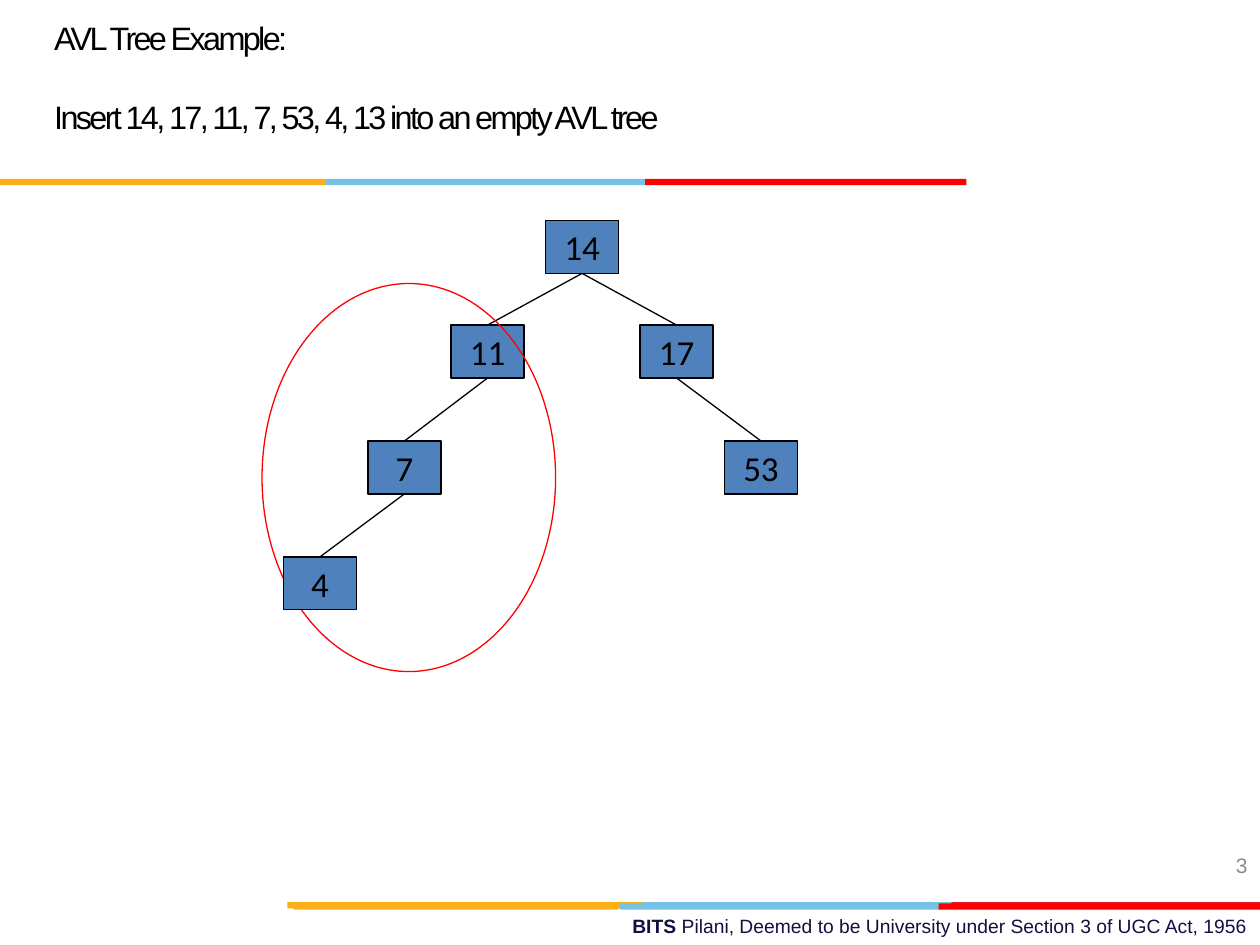
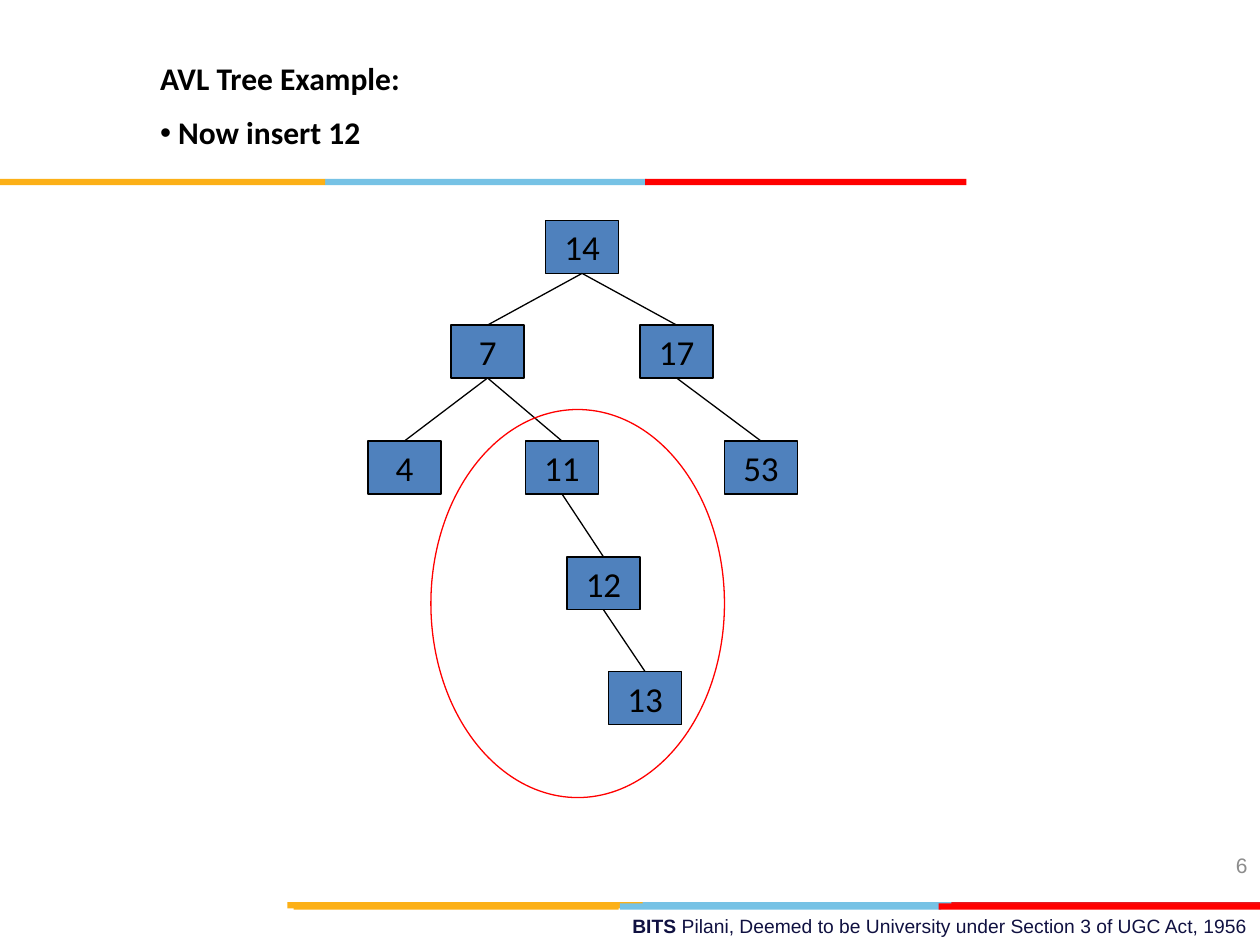
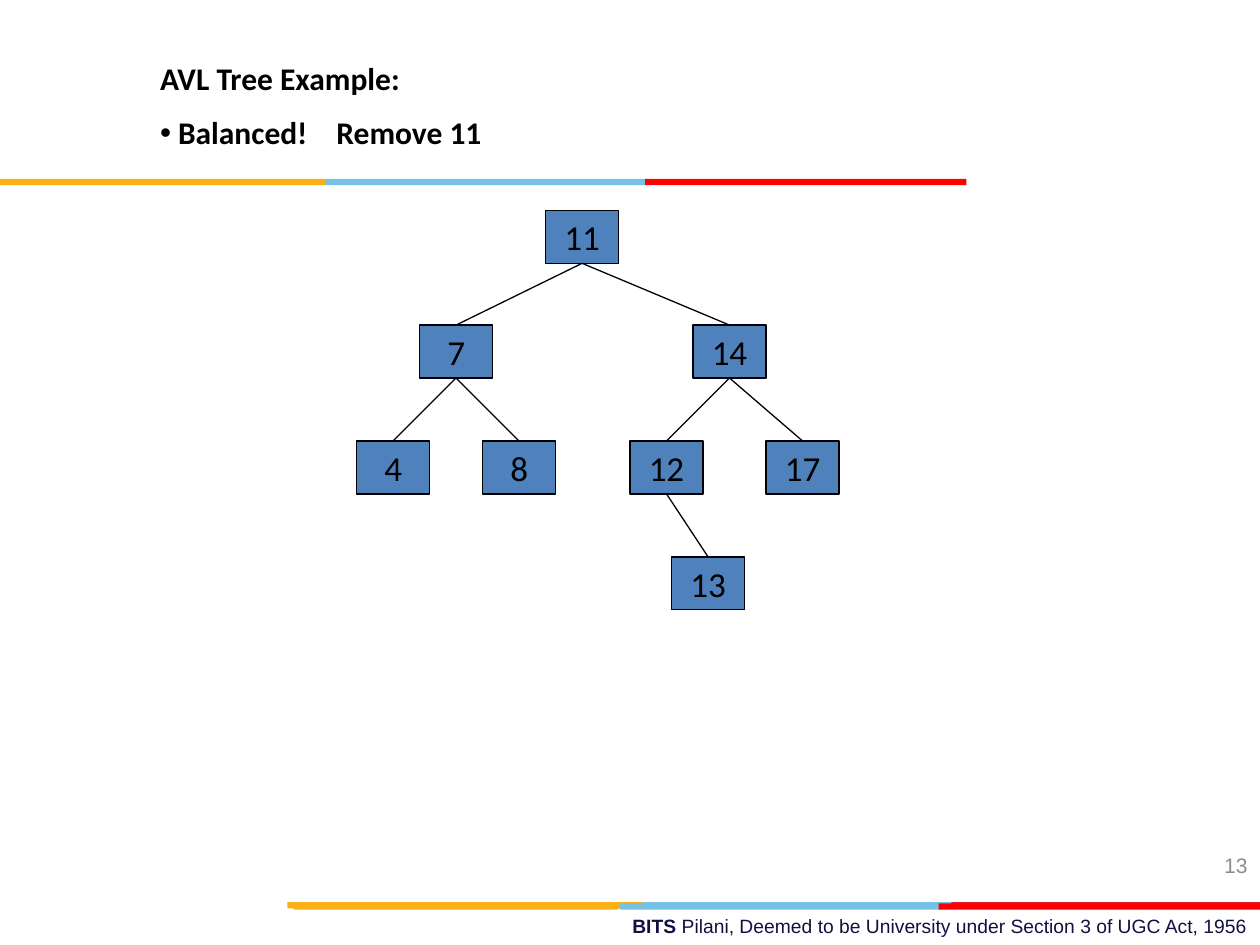
import pptx
import pptx.util
import pptx.dml.color
import pptx.enum.shapes
import pptx.enum.text
import pptx.oxml
import pptx.oxml.ns

Inches = pptx.util.Inches
Pt = pptx.util.Pt
RGBColor = pptx.dml.color.RGBColor
SHAPE = pptx.enum.shapes.MSO_SHAPE
ALIGN = pptx.enum.text.PP_ALIGN
ANCHOR = pptx.enum.text.MSO_ANCHOR

BLACK = RGBColor(0x00, 0x00, 0x00)
NAVY = RGBColor(0x10, 0x11, 0x41)
GRAY = RGBColor(0x8C, 0x8C, 0x8C)
BLUE = RGBColor(0x4F, 0x81, 0xBD)
SKY = RGBColor(0x76, 0xC2, 0xE5)
GOLD = RGBColor(0xFC, 0xB0, 0x17)
RED = RGBColor(0xFF, 0x00, 0x00)
BRICK = RGBColor(0xE3, 0x1C, 0x24)

BANDS = [
    (5.06, 7.16, 2.55, SKY), (7.55, 7.16, 2.45, BRICK), (2.28, 7.16, 2.82, GOLD),
    (4.92, 7.17, 2.55, SKY), (2.33, 7.17, 2.58, GOLD), (7.45, 7.17, 2.55, RED),
    (2.58, 1.42, 2.55, SKY), (0, 1.42, 2.58, GOLD), (5.12, 1.42, 2.55, RED),
]
ROWS = [1.75, 2.58, 3.5, 4.42, 5.33]
TITLE = "AVL Tree Example:"


def style(font, size, color, name="Arial", bold=False):
    font.size = Pt(size)
    font.name = name
    font.bold = bold
    font.color.rgb = color


def add_xml(parent, tag, **attrs):
    item = pptx.oxml.parse_xml(f"<a:{tag} {pptx.oxml.ns.nsdecls('a')}/>")
    for key, value in attrs.items():
        item.set(key, str(value))
    parent.append(item)
    return item


def place(shape, left, top, width, height):
    shape.left, shape.top = Inches(left), Inches(top)
    shape.width, shape.height = Inches(width), Inches(height)


def add_shape(slide, kind, left, top, width, height, fill=None, line=None):
    shape = slide.shapes.add_shape(
        kind, Inches(left), Inches(top), Inches(width), Inches(height))
    shape.shadow.inherit = False
    if fill is None:
        shape.fill.background()
    else:
        shape.fill.solid()
        shape.fill.fore_color.rgb = fill
    if line is None:
        shape.line.fill.background()
    else:
        shape.line.color.rgb = line
        shape.line.width = Pt(0.75)
    return shape


def add_label(slide, left, top, width, height):
    label = slide.shapes.add_textbox(
        Inches(left), Inches(top), Inches(width), Inches(height))
    label.text_frame.word_wrap = True
    para = label.text_frame.paragraphs[0]
    para.alignment = ALIGN.RIGHT
    return label.text_frame, para


def add_frame(slide, number):
    para = add_label(slide, 3.58, 7.21, 6.42, 0.29)[1]
    parts = [("BITS ", True),
             ("Pilani, Deemed to be University under Section 3 of UGC Act, 1956", False)]
    for text, bold in parts:
        run = para.add_run()
        run.text = text
        style(run.font, 11, NAVY, bold=bold)
    for left, top, width, color in BANDS:
        add_shape(slide, SHAPE.RECTANGLE, left, top, width, 0.05, color)
    frame, para = add_label(slide, 7.67, 6.67, 2.33, 0.4)
    frame.vertical_anchor = ANCHOR.MIDDLE
    para.text = str(number)
    style(para.runs[0].font, 12, GRAY)


def fill_holder(holder, spot, text, size, name, bold, pitch=0, bullet=False, tab=None):
    place(holder, *spot)
    frame = holder.text_frame
    frame.auto_size = pptx.enum.text.MSO_AUTO_SIZE.NONE
    frame.vertical_anchor = ANCHOR.TOP
    para = frame.paragraphs[0]
    para.text = text
    para.alignment = ALIGN.LEFT
    para.space_before = Pt(0)
    props = para._p.get_or_add_pPr()
    props.set("marL", "0")
    props.set("indent", "0")
    if bullet:
        add_xml(props, "buChar", char="•")
    else:
        add_xml(props, "buNone")
    if tab:
        stops = add_xml(props, "tabLst")
        add_xml(stops, "tab", pos=Inches(tab), algn="l")
    for run in para.runs:
        style(run.font, size, BLACK, name, bold)
        if pitch:
            run._r.get_or_add_rPr().set("spc", str(pitch))


def add_slide(deck, number):
    slide = deck.slides.add_slide(deck.slide_layouts[1])
    add_frame(slide, number)
    return slide


def add_intro(slide, text):
    look = (18.5, "Arial", False, -150)
    fill_holder(slide.shapes.title, (0.33, 0.09, 6.92, 0.4), TITLE, *look)
    fill_holder(slide.placeholders[1], (0.33, 0.72, 6.92, 0.4), text, *look)


def add_step(slide, text, tab=None):
    look = (18, "Calibri", True)
    fill_holder(slide.shapes.title, (1.17, 0.42, 7.83, 0.42), TITLE, *look)
    fill_holder(slide.placeholders[1], (1.17, 0.85, 7.83, 0.42), text, *look,
                bullet=True, tab=tab)


def add_node(slide, value, left, top):
    node = add_shape(slide, SHAPE.RECTANGLE, left, top, 0.58, 0.42, BLUE, BLACK)
    frame = node.text_frame
    frame.word_wrap = False
    frame.vertical_anchor = ANCHOR.MIDDLE
    para = frame.paragraphs[0]
    para.text = str(value)
    para.alignment = ALIGN.CENTER
    style(para.runs[0].font, 20, BLACK, "Calibri")
    return node


def add_edge(slide, upper, lower):
    edge = slide.shapes.add_connector(
        pptx.enum.shapes.MSO_CONNECTOR.STRAIGHT, 0, 0, 0, 0)
    edge.begin_connect(upper, 2)
    edge.end_connect(lower, 0)
    edge.line.color.rgb = BLACK
    edge.line.width = Pt(0.75)
    add_xml(edge._element.spPr, "effectLst")


def grow(slide, nodes, items):
    for value, left, top, parent in items:
        nodes[value] = add_node(slide, value, left, top)
        if parent is not None:
            add_edge(slide, nodes[parent], nodes[value])


def add_ring(slide, left, top):
    add_shape(slide, SHAPE.OVAL, left, top, 2.33, 3.08, line=RED)


def main():
    deck = pptx.Presentation()
    deck.slide_width, deck.slide_height = Inches(10), Inches(7.5)

    slide = add_slide(deck, 3)
    add_intro(slide, "Insert 14, 17, 11, 7, 53, 4, 13 into an empty AVL tree")
    nodes = {}
    grow(slide, nodes, [
        (14, 4.33, ROWS[0], None),
        (17, 5.08, ROWS[1], 14),
        (11, 3.58, ROWS[1], 14),
        (7, 2.92, ROWS[2], 11),
        (53, 5.75, ROWS[2], 17),
    ])
    add_ring(slide, 2.08, 2.25)
    grow(slide, nodes, [(4, 2.25, ROWS[3], 7)])

    slide = add_slide(deck, 6)
    add_step(slide, " Now insert 12")
    grow(slide, {}, [
        (14, 4.33, ROWS[0], None),
        (17, 5.08, ROWS[1], 14),
        (7, 3.58, ROWS[1], 14),
        (4, 2.92, ROWS[2], 7),
        (53, 5.75, ROWS[2], 17),
        (11, 4.17, ROWS[2], 7),
        (12, 4.5, ROWS[3], 11),
        (13, 4.83, ROWS[4], 12),
    ])
    add_ring(slide, 3.42, 3.25)

    slide = add_slide(deck, 13)
    add_step(slide, " Balanced!\tRemove 11", tab=1.4)
    grow(slide, {}, [
        (11, 4.33, 1.67, None),
        (14, 5.5, ROWS[1], 11),
        (7, 3.33, ROWS[1], 11),
        (17, 6.08, ROWS[2], 14),
        (4, 2.83, ROWS[2], 7),
        (12, 5, ROWS[2], 14),
        (8, 3.83, ROWS[2], 7),
        (13, 5.33, ROWS[3], 12),
    ])

    deck.save("out.pptx")


if __name__ == "__main__":
    main()
